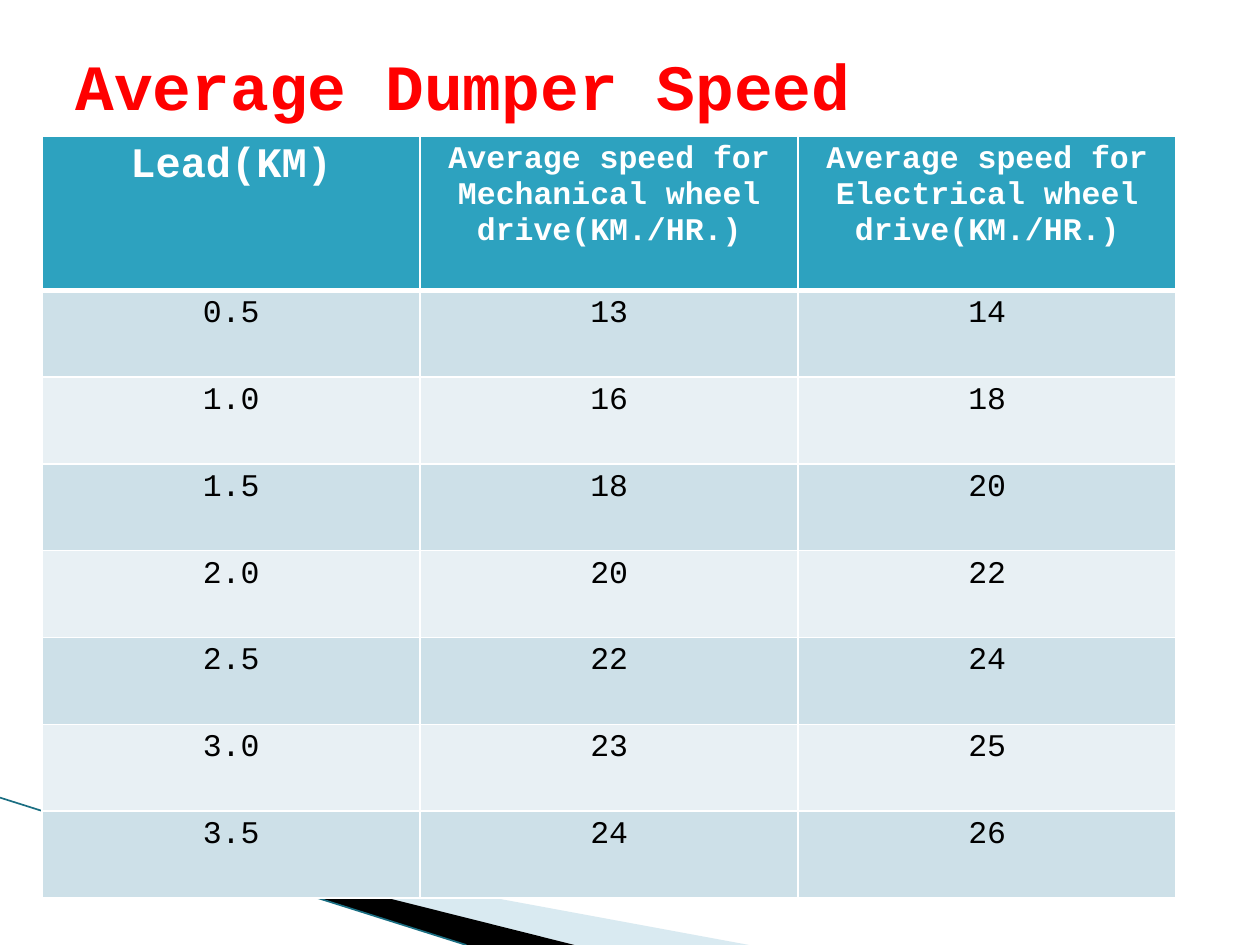
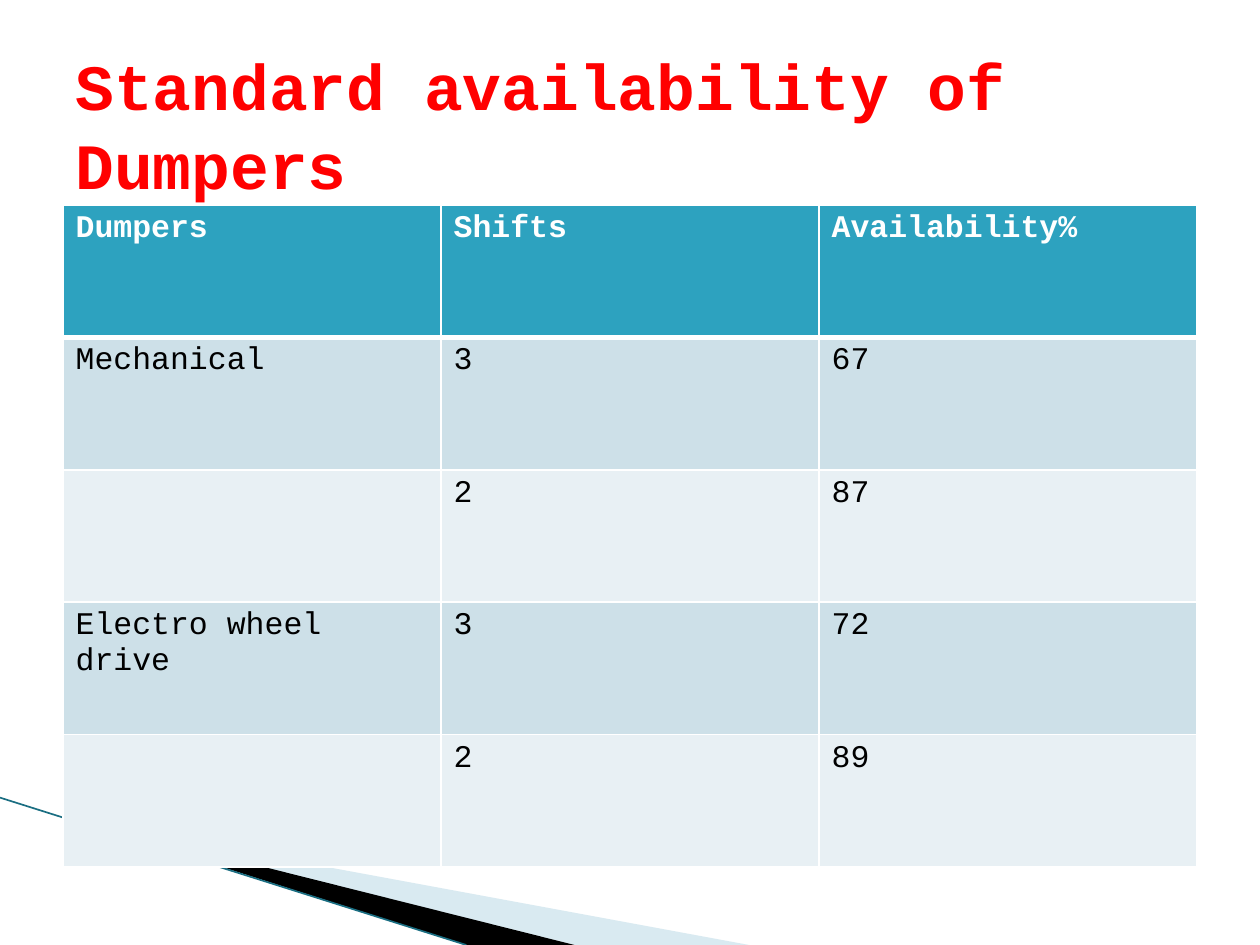
"""Build two slides on dumper speed and dumper availability."""
from lxml import etree
from pptx import Presentation
from pptx.dml.color import RGBColor
from pptx.enum.shapes import MSO_CONNECTOR
from pptx.enum.text import MSO_ANCHOR, PP_ALIGN
from pptx.oxml.ns import qn
from pptx.util import Cm, Pt

LEFT, CENTER = PP_ALIGN.LEFT, PP_ALIGN.CENTER
TOP = MSO_ANCHOR.TOP
STRAIGHT = MSO_CONNECTOR.STRAIGHT
FONT = "Courier New"
COLORS = {
    "title": "FF0000",
    "header": "2DA2BF",
    "header_text": "FFFFFF",
    "body_text": "000000",
    "odd_row": "CDE0E8",
    "even_row": "E8F0F4",
    "border": "FFFFFF",
    "pale_wedge": "A0CBDC",
    "dark_wedge": "000000",
    "edge_line": "1A6E82",
}
WEDGES = [
    ("pale_wedge", 40, [(1.4, 16.52), (15.1, 19.05), (11.58, 19.05)]),
    ("dark_wedge", 100, [(1.35, 16.48), (11.58, 19.05), (9.4, 19.05)]),
]
SLIDES = [
    {
        "title": "Average Dumper Speed",
        "position": (0.85, 2.75),
        "row_heights": (3.1, 1.75),
        "alignment": CENTER,
        "first_header_size": 24,
        "rows": [
            ("Lead(KM)", "Average speed for Mechanical wheel drive(KM./HR.)",
             "Average speed for Electrical wheel drive(KM./HR.)"),
            ("0.5", "13", "14"),
            ("1.0", "16", "18"),
            ("1.5", "18", "20"),
            ("2.0", "20", "22"),
            ("2.5", "22", "24"),
            ("3.0", "23", "25"),
            ("3.5", "24", "26"),
        ],
    },
    {
        "title": "Standard availability of Dumpers",
        "position": (1.27, 4.13),
        "row_heights": (2.67, 2.67),
        "alignment": LEFT,
        "first_header_size": 18,
        "rows": [
            ("Dumpers", "Shifts", "Availability%"),
            ("Mechanical", "3", "67"),
            ("", "2", "87"),
            ("Electro wheel drive", "3", "72"),
            ("", "2", "89"),
        ],
    },
]


def format_text(paragraph, size, color, bold):
    for run in paragraph.runs:
        run.font.name = FONT
        run.font.size = Pt(size)
        run.font.bold = bold
        run.font.color.rgb = RGBColor.from_string(COLORS[color])


def add_border(cell, side, width):
    properties = cell._tc.get_or_add_tcPr()
    line = etree.SubElement(properties, qn("a:ln" + side), w=str(Pt(width)))
    fill = etree.SubElement(line, qn("a:solidFill"))
    etree.SubElement(fill, qn("a:srgbClr"), val=COLORS["border"])


presentation = Presentation()
presentation.slide_width = Cm(25.4)
presentation.slide_height = Cm(19.05)

for content in SLIDES:
    slide = presentation.slides.add_slide(presentation.slide_layouts[6])

    for color, opacity, corners in WEDGES:
        points = [(Cm(x), Cm(y)) for x, y in corners]
        builder = slide.shapes.build_freeform(*points[0])
        builder.add_line_segments(points[1:], close=True)
        wedge = builder.convert_to_shape()
        wedge.shadow.inherit = False
        wedge.line.fill.background()
        wedge.fill.solid()
        wedge.fill.fore_color.rgb = RGBColor.from_string(COLORS[color])
        if opacity < 100:
            color_element = wedge._element.spPr.find(".//" + qn("a:srgbClr"))
            etree.SubElement(color_element, qn("a:alpha"), val=str(opacity * 1000))

    edge = slide.shapes.add_connector(STRAIGHT, Cm(0), Cm(16.08), Cm(9.4), Cm(19.05))
    edge.line.width = Pt(0.95)
    edge.line.color.rgb = RGBColor.from_string(COLORS["edge_line"])
    etree.SubElement(edge._element.spPr, qn("a:effectLst"))

    rows = content["rows"]
    header_height, body_height = content["row_heights"]
    left, top = content["position"]
    table = slide.shapes.add_table(
        len(rows), 3, Cm(left), Cm(top), Cm(22.86),
        Cm(header_height + body_height * (len(rows) - 1))).table
    for column in table.columns:
        column.width = Cm(7.62)
    for row_index, values in enumerate(rows):
        is_header = row_index == 0
        table.rows[row_index].height = Cm(header_height if is_header else body_height)
        band = "header" if is_header else ("even_row", "odd_row")[row_index % 2]
        for column_index, value in enumerate(values):
            cell = table.cell(row_index, column_index)
            add_border(cell, "L", 1)
            add_border(cell, "R", 1)
            add_border(cell, "T", 3 if row_index == 1 else 1)
            add_border(cell, "B", 3 if is_header else 1)
            cell.fill.solid()
            cell.fill.fore_color.rgb = RGBColor.from_string(COLORS[band])
            cell.text_frame.text = value
            paragraph = cell.text_frame.paragraphs[0]
            paragraph.alignment = content["alignment"]
            is_first = is_header and column_index == 0
            size = content["first_header_size"] if is_first else 18
            format_text(paragraph, size, "header_text" if is_header else "body_text", is_header)

    title = slide.shapes.add_textbox(Cm(1.27), Cm(0.91), Cm(22.86), Cm(3.18))
    text_frame = title.text_frame
    text_frame.word_wrap = True
    text_frame.vertical_anchor = TOP
    text_frame.margin_top = text_frame.margin_bottom = 0
    text_frame.text = content["title"]
    text_frame.paragraphs[0].line_spacing = Pt(45)
    format_text(text_frame.paragraphs[0], 36.9, "title", True)

presentation.save("out.pptx")
